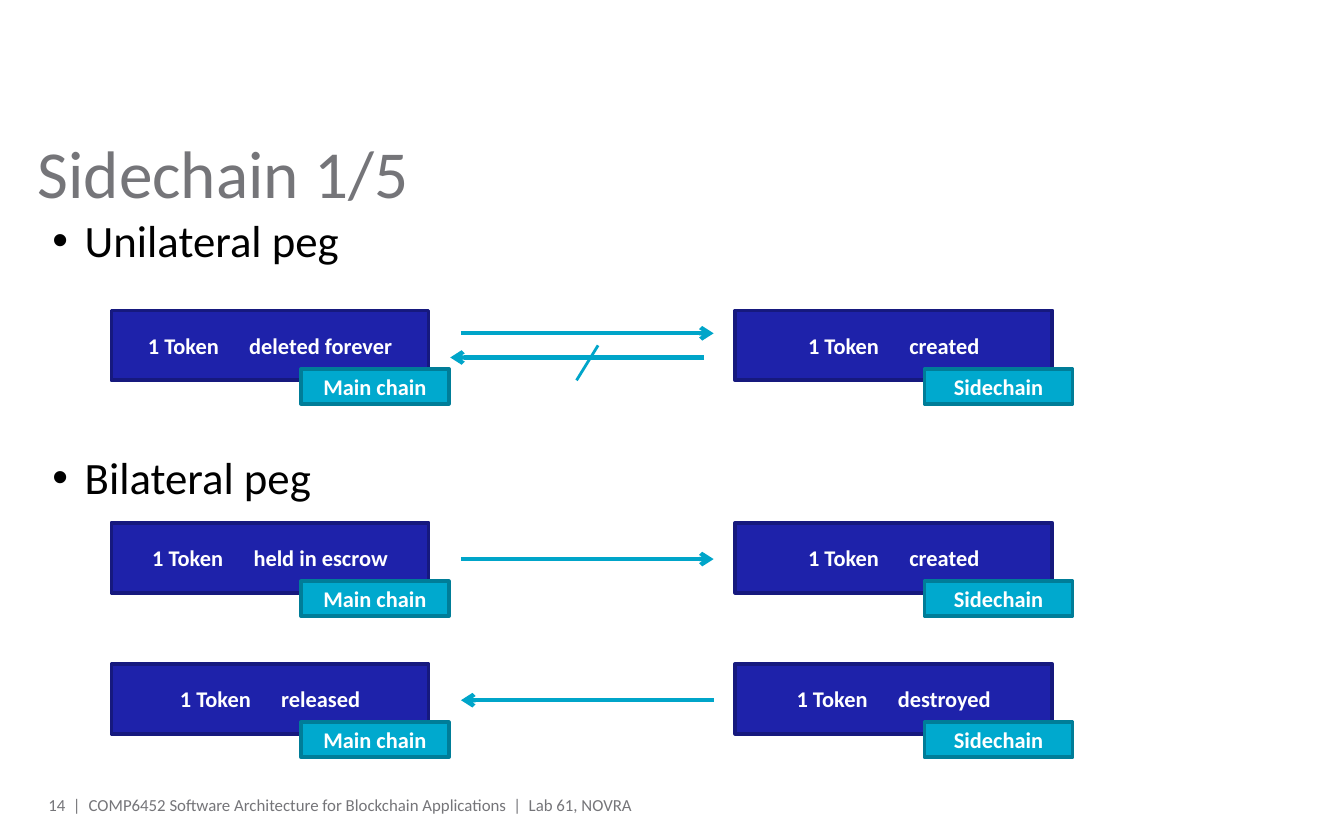
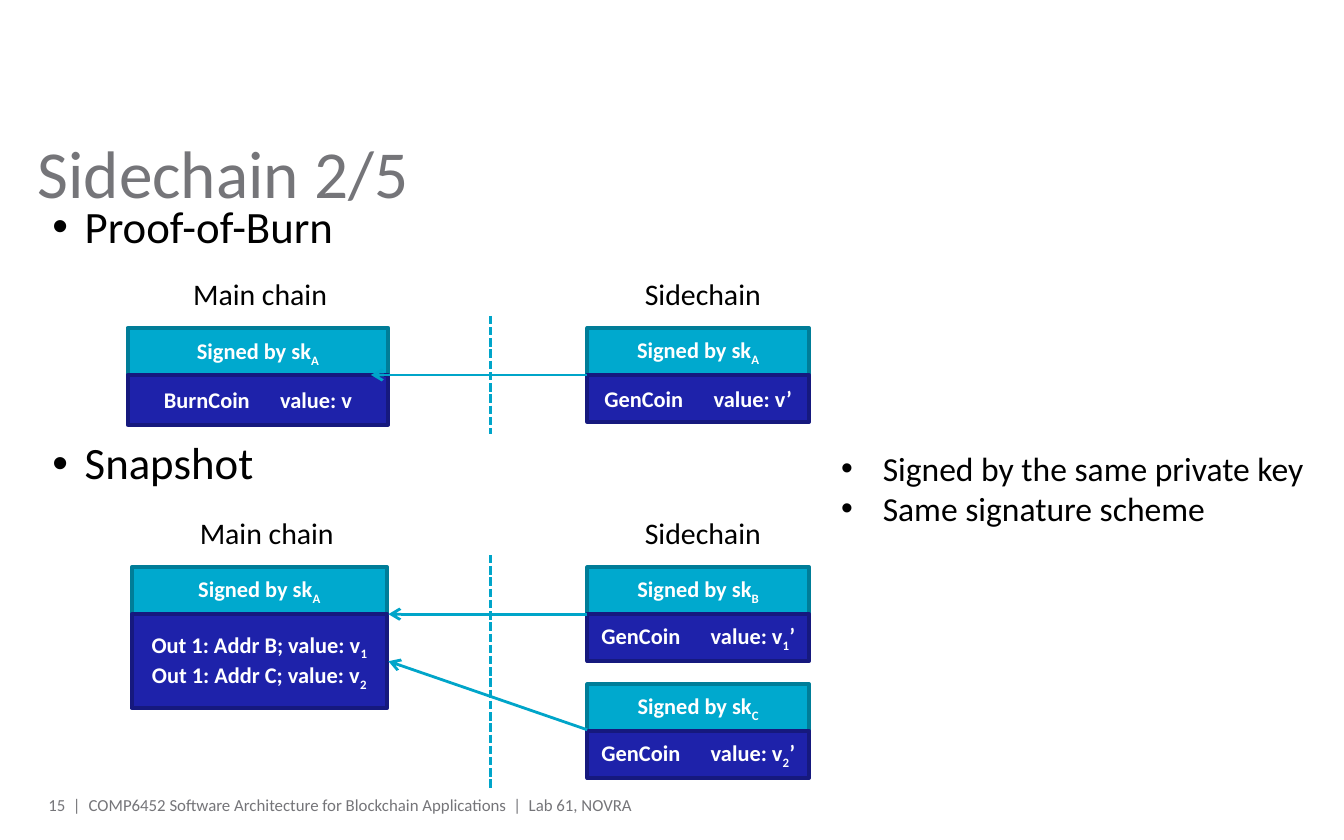
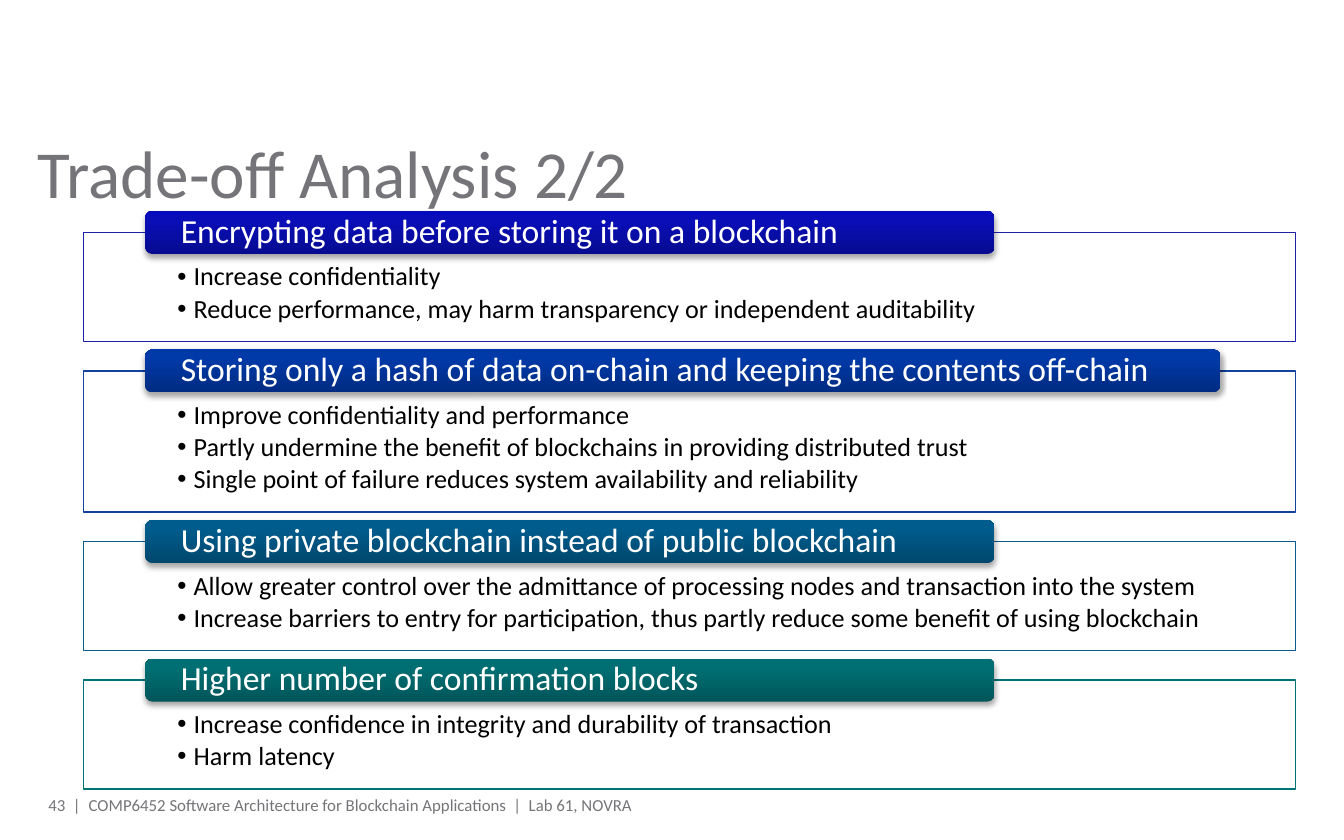
import collections
import copy

import lxml.etree
import pptx
import pptx.dml.color
import pptx.enum.dml
import pptx.enum.shapes
import pptx.enum.text
import pptx.oxml.ns
import pptx.util

RGBColor = pptx.dml.color.RGBColor
BLACK = RGBColor(0x00, 0x00, 0x00)
WHITE = RGBColor(0xFF, 0xFF, 0xFF)
GREY = RGBColor(0x75, 0x75, 0x79)
NAVY = RGBColor(0x1E, 0x22, 0xAA)
NAVY_EDGE = RGBColor(0x16, 0x19, 0x7E)
CYAN = RGBColor(0x00, 0xA9, 0xCE)
CYAN_EDGE = RGBColor(0x00, 0x7D, 0x98)
ARROW = RGBColor(0x00, 0xA5, 0xC9)
ROYAL = RGBColor(0x11, 0x41, 0x9C)
STEEL = RGBColor(0x07, 0x5D, 0x8B)
TEAL = RGBColor(0x00, 0x73, 0x77)
NAVY_TAB = (RGBColor(0x07, 0x0B, 0x8F), RGBColor(0x09, 0x0E, 0xB9), RGBColor(0x05, 0x0B, 0xBD))
ROYAL_TAB = (RGBColor(0x00, 0x2C, 0x81), RGBColor(0x00, 0x39, 0xA8), RGBColor(0x00, 0x39, 0xA8))
STEEL_TAB = (RGBColor(0x00, 0x47, 0x6D), RGBColor(0x00, 0x5C, 0x8D), RGBColor(0x00, 0x5D, 0x8E))
TEAL_TAB = (RGBColor(0x00, 0x56, 0x59), RGBColor(0x00, 0x6F, 0x73), RGBColor(0x00, 0x70, 0x74))

SLIDE_WIDTH = pptx.util.Inches(10)
SLIDE_HEIGHT = pptx.util.Inches(6.25)
CELL = SLIDE_WIDTH / 100
FONT = "Calibri"
Align = pptx.enum.text.PP_ALIGN
Anchor = pptx.enum.text.MSO_ANCHOR
Shapes = pptx.enum.shapes.MSO_SHAPE

Look = collections.namedtuple(
    "Look", "size color bold align spacing before after indent",
    defaults=(False, Align.LEFT, 1.0, 0, 0, 0))
TITLE = Look(36, GREY)
BULLET = Look(24, BLACK, spacing=0.9, before=101, indent=0.24)
CARD = Look(12, WHITE, True, Align.CENTER)
CAPTION = Look(16, BLACK, align=Align.CENTER)
NOTE = Look(18, BLACK, indent=0.31)
FOOTER = Look(9, GREY)
PAGE_NUMBER = Look(9, GREY, align=Align.RIGHT)
PANEL_TITLE = Look(18, WHITE, spacing=0.9)
PANEL_POINT = Look(14, BLACK, spacing=0.9, after=2.1, indent=0.12)


class Box(collections.namedtuple("Box", "left top width height")):
    """A rectangle measured in grid cells."""

    def within(self, left, top, width, height):
        """Return a box placed relative to this one."""
        return Box(self.left + left, self.top + top, width, height)

    def lengths(self):
        """Return the four lengths on the slide."""
        return [round(value * CELL) for value in self]


def gap(points):
    """Return a single space widened by character spacing."""
    return " ", {"spc": str(round(points * 100))}


def sub(text):
    """Return a subscript run."""
    return text, {"baseline": "-25000"}


WIDE = gap(13.5)
NARROW = gap(2)


def apply(target, values):
    """Set attributes of an object from a dict."""
    for name, value in values.items():
        setattr(target, name, value)


def write(shape, paragraphs, look, insets=(0, 0, 0, 0), anchor=Anchor.TOP):
    """Write paragraphs, each a string or a list of runs, into a shape."""
    frame = shape.text_frame
    sides = ("margin_left", "margin_top", "margin_right", "margin_bottom")
    apply(frame, {"word_wrap": True, "auto_size": pptx.enum.text.MSO_AUTO_SIZE.NONE,
                  "vertical_anchor": anchor})
    apply(frame, {side: pptx.util.Inches(inset) for side, inset in zip(sides, insets)})
    for index, runs in enumerate(paragraphs):
        paragraph = frame.add_paragraph() if index else frame.paragraphs[0]
        apply(paragraph, {"alignment": look.align, "line_spacing": look.spacing,
                          "space_before": pptx.util.Pt(look.before if index else 0),
                          "space_after": pptx.util.Pt(look.after)})
        if look.indent:
            add_bullet(paragraph, pptx.util.Inches(look.indent))
        for piece in [runs] if isinstance(runs, str) else runs:
            text, attributes = (piece, {}) if isinstance(piece, str) else piece
            run = paragraph.add_run()
            run.text = text
            apply(run.font, {"name": FONT, "size": pptx.util.Pt(look.size), "bold": look.bold})
            run.font.color.rgb = look.color
            for name, value in attributes.items():
                run.font._element.set(name, value)


def add_child(parent, tag, **attributes):
    """Append a drawing element with its attributes."""
    return lxml.etree.SubElement(parent, pptx.oxml.ns.qn(tag), attributes)


def add_bullet(paragraph, indent):
    """Give a paragraph a hanging round bullet."""
    properties = paragraph._p.get_or_add_pPr()
    properties.set("marL", str(indent))
    properties.set("indent", str(-indent))
    add_child(properties, "a:buFont", typeface="Arial")
    add_child(properties, "a:buChar", char="•")


def add_text(slide, box, paragraphs, look, **layout):
    """Add a text box."""
    write(slide.shapes.add_textbox(*box.lengths()), paragraphs, look, **layout)


def add_panel(slide, box, fill, edge, width, kind=Shapes.RECTANGLE):
    """Add a flat shape with a fill and an outline."""
    shape = slide.shapes.add_shape(kind, *box.lengths())
    shape.shadow.inherit = False
    shape.fill.solid()
    shape.fill.fore_color.rgb = fill
    shape.line.color.rgb = edge
    shape.line.width = pptx.util.Pt(width)
    return shape


def add_card(slide, box, paragraphs, fill=NAVY, edge=NAVY_EDGE):
    """Add a rectangle with bold centred text."""
    shape = add_panel(slide, box, fill, edge, 2)
    write(shape, paragraphs, CARD, insets=(0.05, 0.05, 0.05, 0.05), anchor=Anchor.MIDDLE)


def add_line(slide, box, start, end, width=1.5, arrow=True, dashed=False):
    """Join two points given relative to a box."""
    points = [round((origin + offset) * CELL)
              for point in (start, end) for origin, offset in zip(box[:2], point)]
    connector = slide.shapes.add_connector(
        pptx.enum.shapes.MSO_CONNECTOR.STRAIGHT, *points)
    connector.line.color.rgb = ARROW
    connector.line.width = pptx.util.Pt(width)
    if dashed:
        connector.line.dash_style = pptx.enum.dml.MSO_LINE.SQUARE_DOT
    if arrow:
        add_child(connector.line._get_or_add_ln(), "a:tailEnd", type="arrow")
    add_child(connector._element.spPr, "a:effectLst")


def place(placeholder, box, paragraphs, look):
    """Move a placeholder and fill it."""
    apply(placeholder, dict(zip(("left", "top", "width", "height"), box.lengths())))
    write(placeholder, paragraphs, look)


def start_slide(presentation, title, number, bullets=(), bullets_top=0):
    """Add a slide with its title, optional bullets and footer."""
    layout = presentation.slide_layouts.get_by_name(
        "Title and Content" if bullets else "Title Only")
    slide = presentation.slides.add_slide(layout)
    place(slide.shapes.title, Box(2.8, 9.8, 94.5, 7.8), [title], TITLE)
    if bullets:
        place(slide.placeholders[1], Box(3.9, bullets_top, 92.5, 41.7), bullets, BULLET)
    course = ["COMP6452 Software Architecture for Blockchain Applications",
              NARROW, "|", NARROW, "Lab 61, NOVRA"]
    add_text(slide, Box(6.6, 59.3, 66.5, 1.1), [course], FOOTER, anchor=Anchor.MIDDLE)
    add_text(slide, Box(2.8, 59.3, 3.2, 1.2), [[str(number), NARROW, "|"]], PAGE_NUMBER,
             anchor=Anchor.MIDDLE)
    return slide


def draw_token(slide, box, state, chain):
    """Draw a token card with the chain label on its corner."""
    add_card(slide, box, [["1 Token", WIDE, state]])
    add_card(slide, box.within(14.1, 4.35, 11, 2.6), [chain], CYAN, CYAN_EDGE)


def draw_transfer(slide, box, main_state, side_state, arrows):
    """Draw a token on both chains and the arrows between them."""
    draw_token(slide, box.within(0, 0, 23.6, 5.2), main_state, "Main chain")
    draw_token(slide, box.within(46.4, 0, 23.6, 5.2), side_state, "Sidechain")
    for start, end, row in arrows:
        add_line(slide, box, (start, row), (end, row), 2.25)


def draw_block(slide, box, signer, lines, header=3.5):
    """Draw a block: signature on top, contents below."""
    add_card(slide, box.within(0, 0, box.width, header),
             [["Signed by sk", sub(signer)]], CYAN, CYAN_EDGE)
    add_card(slide, box.within(0, 3.5, box.width, box.height - 3.5), lines)


def draw_chains(slide, box, main_caption, side_blocks, arrows):
    """Draw captions, divider, sidechain blocks and arrows."""
    captions = ((main_caption, "Main chain"), ((37.3, 11), "Sidechain"))
    for (left, width), caption in captions:
        add_text(slide, box.within(left, 0, width, 3.7), [caption], CAPTION,
                 insets=(0.05, 0.05, 0.05, 0.05))
    add_line(slide, box, (27, 3.5), (27, box.height), arrow=False, dashed=True)
    for index, (signer, value) in enumerate(side_blocks):
        draw_block(slide, box.within(34.2, 4.4 + 8.7 * index, 16.5, 7), signer,
                   [["GenCoin", WIDE, *value]])
    for start, end in arrows:
        add_line(slide, box, start, end)


def draw_tab(slide, box, title, colors):
    """Draw the shaded heading of a trade-off panel."""
    tab = add_panel(slide, box, colors[0], colors[0], 1, Shapes.ROUNDED_RECTANGLE)
    tab.line.fill.background()
    tab.fill.gradient()
    tab.fill.gradient_angle = 90
    properties = tab._element.spPr
    stops = properties.find(".//" + pptx.oxml.ns.qn("a:gsLst"))
    stops.append(copy.deepcopy(stops[-1]))
    for stop, position, color in zip(tab.fill.gradient_stops, (0, 0.8, 1), colors):
        stop.position = position
        stop.color.rgb = color
    shadow = add_child(properties.find(pptx.oxml.ns.qn("a:effectLst")), "a:outerShdw",
                       blurRad=str(pptx.util.Pt(3.1)), dist=str(pptx.util.Pt(1.8)),
                       dir="5400000", rotWithShape="0")
    add_child(add_child(shadow, "a:srgbClr", val=str(BLACK)), "a:alpha", val="35000")
    write(tab, [title], PANEL_TITLE, insets=(0.25, 0, 0.25, 0), anchor=Anchor.MIDDLE)


def draw_tradeoff(slide, box, tab_width, edge, colors, title, points):
    """Draw an outlined list of effects under a heading tab."""
    frame = add_panel(slide, box, WHITE, edge, 0.75)
    color = frame._element.spPr.find(".//" + pptx.oxml.ns.qn("a:srgbClr"))
    add_child(color, "a:alpha", val="90000")
    write(frame, points, PANEL_POINT, insets=(0.7, 0.23, 0.7, 0.11))
    draw_tab(slide, box.within(4.6, -1.6, tab_width, 3.2), title, colors)


def build_pegs(presentation):
    """Build the slide on unilateral and bilateral pegs."""
    slide = start_slide(presentation, "Sidechain 1/5", 14,
                        ["Unilateral peg", "Bilateral peg"], 16.3)
    transfers = (
        (23.1, "deleted forever", "created", [(26, 44.8, 1.7), (44.1, 25.2, 3.5)]),
        (38.9, "held in escrow", "created", [(26, 44.8, 2.7)]),
        (49.4, "released", "destroyed", [(44.8, 26, 2.7)]),
    )
    for top, main_state, side_state, arrows in transfers:
        draw_transfer(slide, Box(8.3, top, 71.6, 7), main_state, side_state, arrows)
    add_line(slide, Box(8.3, 23.1, 71.6, 7), (34.6, 5.2), (36.2, 2.6), arrow=False)


def build_proofs(presentation):
    """Build the slide on proof-of-burn and snapshot."""
    slide = start_slide(presentation, "Sidechain 2/5", 15,
                        ["Proof-of-Burn", "Snapshot"], 15.2)
    burn = Box(9.5, 20, 50.7, 12.3)
    draw_block(slide, burn.within(0, 4.4, 19.4, 7.2), "A",
               [["BurnCoin", WIDE, "value: v"]], 3.7)
    draw_chains(slide, burn, (1.6, 16.5), [("A", ["value: v’"])],
                [((34.2, 7.9), (18.1, 7.9))])
    snapshot = Box(9.5, 37.8, 50.7, 21)
    outputs = [[f"Out 1: Addr {owner}; value: v", sub(number)]
               for owner, number in (("B", "1"), ("C", "2"))]
    draw_block(slide, snapshot.within(0.3, 4.4, 19, 10.5), "A", outputs)
    draw_chains(slide, snapshot, (1.3, 18.1),
                [("B", ["value: v", sub("1"), "’"]), ("C", ["value: v", sub("2"), "’"])],
                [((34.2, 7.9), (19.4, 7.9)), ((34.2, 16.5), (19.4, 11.4))])
    add_text(slide, Box(61.6, 32.8, 38.2, 7.1),
             ["Signed by the same private key", "Same signature scheme"], NOTE,
             insets=(0.1, 0.05, 0.05, 0.05))


def build_tradeoffs(presentation):
    """Build the slide that stacks the trade-off panels."""
    slide = start_slide(presentation, "Trade-off Analysis 2/2", 43)
    panels = (
        (63.2, NAVY, NAVY_TAB, "Encrypting data before storing it on a blockchain",
         ["Increase confidentiality",
          "Reduce performance, may harm transparency or independent auditability"]),
        (80, ROYAL, ROYAL_TAB,
         "Storing only a hash of data on-chain and keeping the contents off-chain",
         ["Improve confidentiality and performance",
          "Partly undermine the benefit of blockchains in providing distributed trust",
          "Single point of failure reduces system availability and reliability"]),
        (63.2, STEEL, STEEL_TAB, "Using private blockchain instead of public blockchain",
         ["Allow greater control over the admittance of processing nodes and "
          "transaction into the system",
          "Increase barriers to entry for participation, thus partly reduce some "
          "benefit of using blockchain"]),
        (63.2, TEAL, TEAL_TAB, "Higher number of confirmation blocks",
         ["Increase confidence in integrity and durability of transaction",
          "Harm latency"]),
    )
    top = 17.3
    for tab_width, edge, colors, title, points in panels:
        height = 3.3 + 2.4 * len(points)
        draw_tradeoff(slide, Box(6.2, top, 90.2, height), tab_width, edge, colors,
                      title, points)
        top += height + 2.2


def main():
    """Build and save the presentation."""
    presentation = pptx.Presentation()
    apply(presentation, {"slide_width": SLIDE_WIDTH, "slide_height": SLIDE_HEIGHT})
    for build in (build_pegs, build_proofs, build_tradeoffs):
        build(presentation)
    presentation.save("out.pptx")


if __name__ == "__main__":
    main()
